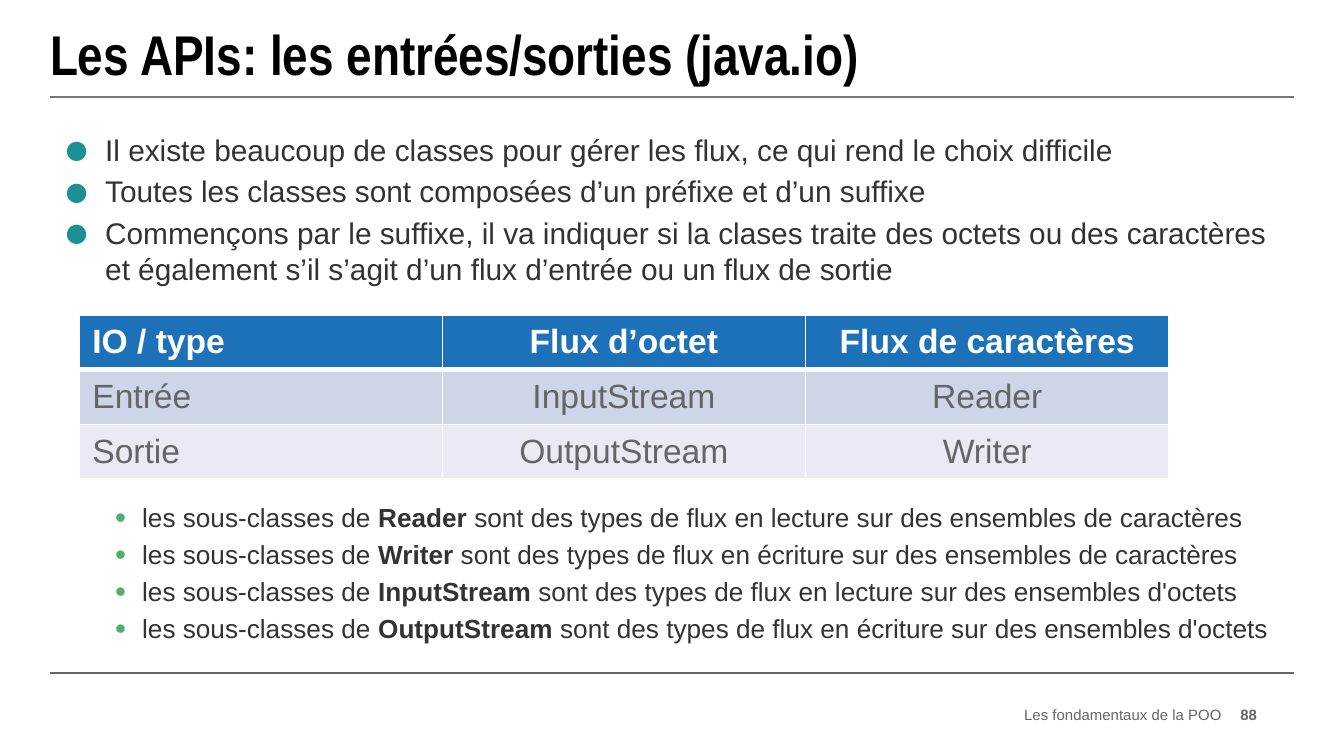
from pptx import Presentation
from pptx import oxml
from pptx import util as u
from pptx.dml.color import RGBColor
from pptx.enum import shapes, text
from pptx.oxml import ns

EMU_PER_PX = 9144000 / 1344
BLACK = RGBColor(0x00, 0x00, 0x00)
WHITE = RGBColor(0xFF, 0xFF, 0xFF)
DARK = RGBColor(0x32, 0x33, 0x34)
GREY = RGBColor(0x64, 0x65, 0x67)
RULE_GREY = RGBColor(0x76, 0x76, 0x76)
TEAL = RGBColor(0x1B, 0x91, 0x95)
GREEN = RGBColor(0x4F, 0xAF, 0x6C)
BLUE = RGBColor(0x1D, 0x71, 0xB8)
ROW_FILLS = (BLUE, RGBColor(0xCD, 0xD5, 0xE6), RGBColor(0xE8, 0xEB, 0xF3))

TITLE = "Les APIs: les entrées/sorties (java.io)"
POINTS = (
    "Il existe beaucoup de classes pour gérer les flux, ce qui rend le choix difficile",
    "Toutes les classes sont composées d’un préfixe et d’un suffixe",
    "Commençons par le suffixe, il va indiquer si la clases traite des octets ou des "
    "caractères et également s’il s’agit d’un flux d’entrée ou un flux de sortie",
)
STREAM_TABLE = (
    ("IO / type", "Flux d’octet", "Flux de caractères"),
    ("Entrée", "InputStream", "Reader"),
    ("Sortie", "OutputStream", "Writer"),
)
SUBCLASSES = (
    ("Reader", "lecture", "de caractères"),
    ("Writer", "écriture", "de caractères"),
    ("InputStream", "lecture", "d'octets"),
    ("OutputStream", "écriture", "d'octets"),
)


def px(length):
    """Turn a length in px into EMU."""
    return u.Emu(round(length * EMU_PER_PX))


def add_run(paragraph, words, size, color, bold=False, font="Arial"):
    """Add one formatted run to a paragraph."""
    run = paragraph.add_run()
    run.text = words
    run.font.name, run.font.size, run.font.bold = font, u.Pt(size), bold
    run.font.color.rgb = color


def add_rule(slide, left, top, width, color):
    """Draw a thin horizontal rule."""
    line = slide.shapes.add_connector(
        shapes.MSO_CONNECTOR.STRAIGHT, px(left), px(top), px(left + width), px(top))
    line.line.color.rgb = color
    line.line.width = u.Pt(1)
    line._element.spPr.append(oxml.parse_xml(f"<a:effectLst {ns.nsdecls('a')}/>"))


def clear_margins(frame):
    """Centre a text frame vertically and remove its insets."""
    frame.margin_left = frame.margin_right = frame.margin_top = frame.margin_bottom = 0
    frame.vertical_anchor = text.MSO_ANCHOR.MIDDLE
    frame.auto_size = text.MSO_AUTO_SIZE.NONE


def place_title(slide, left, top, width, height):
    """Place the slide title with the rule under it."""
    title = slide.shapes.title
    title.left, title.top, title.width, title.height = map(px, (left, top, width, height))
    clear_margins(title.text_frame)
    paragraph = title.text_frame.paragraphs[0]
    paragraph.alignment = text.PP_ALIGN.LEFT
    add_run(paragraph, TITLE, 30, BLACK, True, "Arial Narrow")
    add_rule(slide, left, top + height + 3, width, RULE_GREY)


def set_bullet(paragraph, indent, hanging, symbol, color, percent):
    """Give a paragraph a coloured bullet and a hanging indent."""
    properties = paragraph._p.get_or_add_pPr()
    properties.set("marL", str(px(indent)))
    properties.set("indent", str(-px(hanging)))
    for tag in (f'<a:buClr {{}}><a:srgbClr val="{color}"/></a:buClr>',
                f'<a:buSzPct {{}} val="{percent * 1000}"/>',
                '<a:buFont {} typeface="Arial"/>',
                f'<a:buChar {{}} char="{symbol}"/>'):
        properties.append(oxml.parse_xml(tag.format(ns.nsdecls("a"))))


def place_list(slide, left, top, width, height, items, size, bullet):
    """Place a bulleted list whose items are sequences of (words, bold)."""
    frame = slide.shapes.add_textbox(*map(px, (left, top, width, height))).text_frame
    frame.word_wrap = True
    for index, item in enumerate(items):
        paragraph = frame.add_paragraph() if index else frame.paragraphs[0]
        paragraph.space_before = u.Pt(3)
        set_bullet(paragraph, *bullet)
        for words, bold in item:
            add_run(paragraph, words, size, DARK, bold)


def set_borders(cell, bottom, top):
    """Draw white borders round a table cell."""
    properties = cell._tc.get_or_add_tcPr()
    for side, points in (("L", 1), ("R", 1), ("T", top), ("B", bottom)):
        properties.append(oxml.parse_xml(
            f'<a:ln{side} {ns.nsdecls("a")} w="{u.Pt(points)}"><a:solidFill>'
            f'<a:srgbClr val="{WHITE}"/></a:solidFill></a:ln{side}>'))


def place_table(slide, left, top, width, height):
    """Place the table of stream types."""
    rows, columns = len(STREAM_TABLE), len(STREAM_TABLE[0])
    table = slide.shapes.add_table(
        rows, columns, *map(px, (left, top, width, height))).table
    for r, values in enumerate(STREAM_TABLE):
        for c, value in enumerate(values):
            cell = table.cell(r, c)
            set_borders(cell, 1 if r else 3, 3 if r == 1 else 1)
            cell.fill.solid()
            cell.fill.fore_color.rgb = ROW_FILLS[r]
            cell.vertical_anchor = text.MSO_ANCHOR.MIDDLE
            paragraph = cell.text_frame.paragraphs[0]
            paragraph.alignment = text.PP_ALIGN.CENTER if c else text.PP_ALIGN.LEFT
            add_run(paragraph, value, 18, GREY if r else WHITE, r == 0)


def place_footer(slide, left, top, width, height):
    """Place the rule, the course name and the page number."""
    add_rule(slide, left, top, width, GREY)
    right = left + width
    for words, end, box_width, bold in (
            ("Les fondamentaux de la POO", right - 72, 296, False),
            ("88", right - 37, 27, True)):
        box = slide.shapes.add_textbox(
            px(end - box_width), px(top + height - 20), px(box_width), px(20))
        clear_margins(box.text_frame)
        box.text_frame.word_wrap = True
        paragraph = box.text_frame.paragraphs[0]
        paragraph.alignment = text.PP_ALIGN.RIGHT
        add_run(paragraph, words, 8, GREY, bold)


def main():
    """Build and save the slide."""
    presentation = Presentation()
    presentation.slide_width, presentation.slide_height = px(1344), px(756)
    slide = presentation.slides.add_slide(presentation.slide_layouts[5])
    place_title(slide, 50, 12, 1244, 82)
    place_list(slide, 50, 125, 1244, 170, [[(point, False)] for point in POINTS],
               16, (42, 42, "●", TEAL, 150))
    place_table(slide, 79, 315, 1090, 164)
    subclass_items = [
        (("les sous-classes de ", False), (name, True),
         (f" sont des types de flux en {mode} sur des ensembles {unit}", False))
        for name, mode, unit in SUBCLASSES]
    place_list(slide, 50, 495, 1244, 157, subclass_items, 14, (79, 27, "•", GREEN, 120))
    place_footer(slide, 50, 673, 1244, 52)
    presentation.save("out.pptx")


if __name__ == "__main__":
    main()
